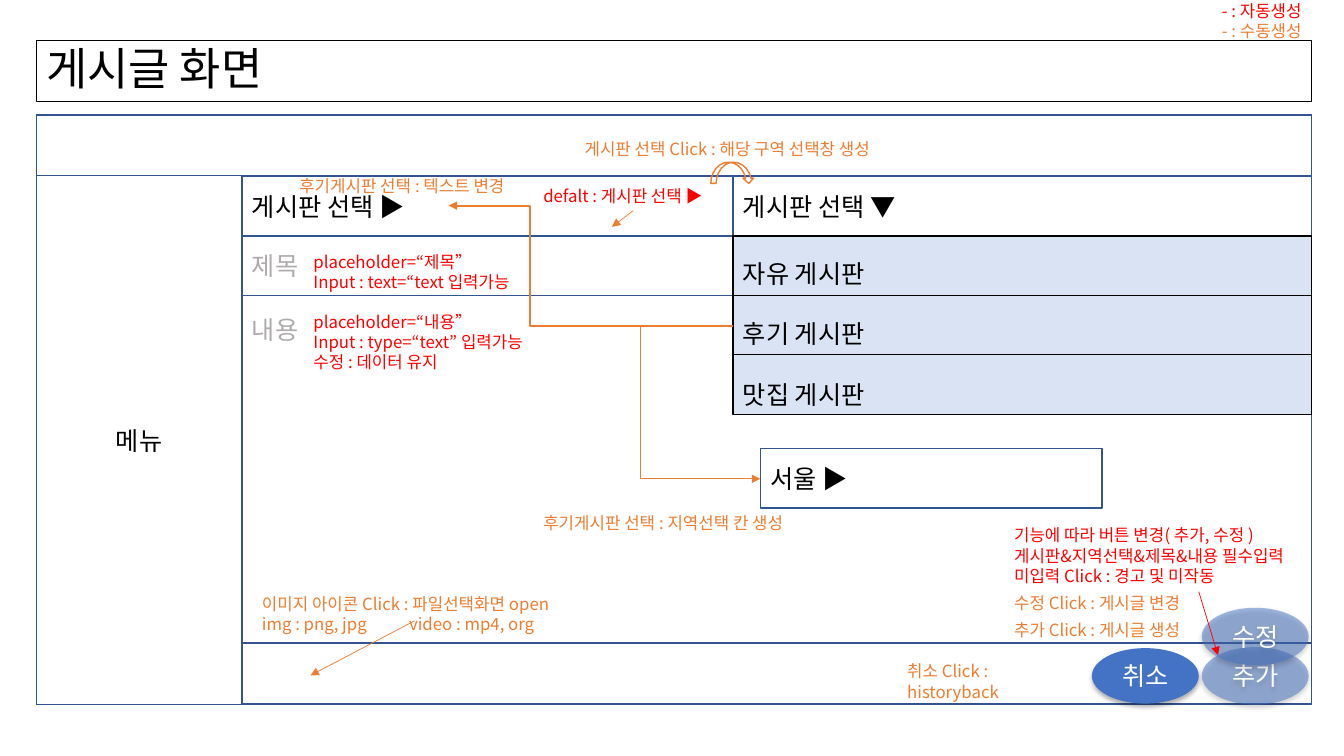
from pptx import Presentation
from pptx import util as u
from pptx.dml.color import RGBColor
from pptx.enum import shapes, text
from pptx.oxml import parse_xml
from pptx.oxml.ns import nsdecls, qn
from lxml import etree

PX = 9144  # 100 px to the inch
FONT = "Noto Sans CJK KR"
BLACK = RGBColor(0x00, 0x00, 0x00)
WHITE = RGBColor(0xFF, 0xFF, 0xFF)
GRAY = RGBColor(0xAF, 0xAB, 0xAB)
RED = RGBColor(0xFF, 0x00, 0x00)
ORANGE = RGBColor(0xED, 0x7D, 0x31)
NAVY = RGBColor(0x32, 0x54, 0x91)
BLUE = RGBColor(0x44, 0x72, 0xC4)
PALE_BLUE = RGBColor(0xDA, 0xE3, 0xF3)
LEFT, RIGHT, MENU_RIGHT, LIST_LEFT = 36, 1301, 240, 727
ROW_TOP, ROW = 175, 59
MIDDLE, TOP, BOTTOM = (text.MSO_ANCHOR.MIDDLE, text.MSO_ANCHOR.TOP,
                       text.MSO_ANCHOR.BOTTOM)


class Wireframe:
    def __init__(self, slide):
        self.slide = slide

    def add_lines(self, frame, lines, size, color, align=None, spacing=None):
        """Fill a text frame; a line is a string or a (string, color) pair."""
        for index, line in enumerate(lines):
            words, tint = line if isinstance(line, tuple) else (line, color)
            paragraph = frame.paragraphs[0] if index == 0 else frame.add_paragraph()
            paragraph.alignment = align or text.PP_ALIGN.LEFT
            if spacing:
                paragraph.line_spacing = spacing
            run = paragraph.add_run()
            run.text = words
            run.font.size = u.Pt(size)
            run.font.color.rgb = tint
            run.font.name = FONT
            etree.SubElement(run.font._element, qn("a:ea"), typeface=FONT)

    def shape(self, kind, left, top, width, height, fill=None, line=None, weight=1):
        shape = self.slide.shapes.add_shape(
            kind, left * PX, top * PX, width * PX, height * PX)
        shape.shadow.inherit = False
        if fill is None:
            shape.fill.background()
        else:
            shape.fill.solid()
            shape.fill.fore_color.rgb = fill
        if line is None:
            shape.line.fill.background()
        else:
            shape.line.color.rgb = line
            shape.line.width = u.Pt(weight)
        return shape

    def box(self, left, top, width, height, lines=(), size=18, color=BLACK,
            fill=None, line=NAVY, weight=1, anchor=MIDDLE, align=None,
            spacing=None):
        shape = self.shape(shapes.MSO_SHAPE.RECTANGLE, left, top, width, height,
                           fill, line, weight)
        shape.text_frame.vertical_anchor = anchor
        self.add_lines(shape.text_frame, lines, size, color, align, spacing)
        return shape

    def button(self, label, left, top, height=57, alpha=None):
        shape = self.shape(shapes.MSO_SHAPE.OVAL, left, top, 106, height, BLUE)
        properties = shape._element.spPr
        if alpha:
            tint = properties.find(qn("a:solidFill")).find(qn("a:srgbClr"))
            etree.SubElement(tint, qn("a:alpha"), val=str(alpha * 1000))
        properties.find(qn("a:effectLst")).append(parse_xml(
            f'<a:outerShdw {nsdecls("a")} blurRad="44450" dist="27940" '
            'dir="5400000" algn="ctr" rotWithShape="0"><a:srgbClr val="000000">'
            '<a:alpha val="32000"/></a:srgbClr></a:outerShdw>'))
        frame = shape.text_frame
        frame.vertical_anchor = MIDDLE
        self.add_lines(frame, [label], 18, WHITE, text.PP_ALIGN.CENTER)

    def note(self, left, top, width, height, lines, color=ORANGE):
        frame = self.slide.shapes.add_textbox(
            left * PX, top * PX, width * PX, height * PX).text_frame
        frame.word_wrap = True
        self.add_lines(frame, lines, 12, color)
        return frame

    def connector(self, start, end, color=ORANGE, weight=0.5, arrow=True, bend=None):
        """Draw a line; bend is the elbow's place in percent of the width."""
        kind = (shapes.MSO_CONNECTOR.STRAIGHT if bend is None
                else shapes.MSO_CONNECTOR.ELBOW)
        connector = self.slide.shapes.add_connector(
            kind, *(value * PX for value in start + end))
        connector.line.color.rgb = color
        connector.line.width = u.Pt(weight)
        properties = connector._element.spPr
        if arrow:
            etree.SubElement(properties.find(qn("a:ln")), qn("a:tailEnd"),
                             type="triangle")
        if bend is not None:
            guides = properties.find(qn("a:prstGeom")).find(qn("a:avLst"))
            etree.SubElement(guides, qn("a:gd"), name="adj1",
                             fmla=f"val {round(bend * 1000)}")
        etree.SubElement(properties, qn("a:effectLst"))


def draw_frame(page):
    width, main_width = RIGHT - LEFT, RIGHT - MENU_RIGHT
    page.box(LEFT, 40, width, 61, ["게시글 화면"], size=32, line=BLACK,
             weight=0.75, spacing=0.9)
    page.box(LEFT, 114, width, 585)
    page.box(LEFT, 174, MENU_RIGHT - LEFT, 525, ["메뉴"],
             align=text.PP_ALIGN.CENTER)
    page.box(LEFT, 114, width, 60)
    content = page.box(MENU_RIGHT, 293, main_width, 345, ["내용"], color=GRAY,
                       anchor=TOP)
    content.text_frame.margin_top = 19 * PX
    page.box(MENU_RIGHT, 638, main_width, 60)
    for index, (label, color) in enumerate([("게시판 선택 ▶", BLACK), ("제목", GRAY)]):
        page.box(MENU_RIGHT, ROW_TOP + index * ROW, main_width, ROW, [label],
                 color=color)


def draw_board_list(page):
    width, top = RIGHT - LIST_LEFT, ROW_TOP + ROW
    boards = ["자유 게시판", "후기 게시판", "맛집 게시판"]
    page.box(LIST_LEFT, ROW_TOP, width, ROW, ["게시판 선택 ▼"])
    page.box(LIST_LEFT, top, width, ROW * len(boards), boards, fill=PALE_BLUE,
             line=BLACK, anchor=BOTTOM, spacing=2.0)
    for index in range(1, len(boards)):
        y = top + index * ROW
        page.connector((LIST_LEFT, y), (RIGHT, y), BLACK, arrow=False)
    page.box(754, 445, 339, ROW, ["서울 ▶"])


def draw_buttons(page):
    page.button("추가", 1192, 642, alpha=50)
    page.button("취소", 1083, 643, height=55)
    page.button("수정", 1192, 603, alpha=50)


def draw_notes(page):
    page.note(529, 179, 198, 30, ["defalt : 게시판 선택 ▶"], RED)
    page.note(570, 133, 343, 30, ["게시판 선택 Click : 해당 구역 선택창 생성"])
    page.note(529, 504, 289, 30, ["후기게시판 선택 : 지역선택 칸 생성"])
    files = page.note(250, 584, 330, 50, ["이미지 아이콘 Click : 파일선택화면 open",
                                          "img : png, jpg\tvideo : mp4, org"])
    files.paragraphs[1]._p.get_or_add_pPr().append(parse_xml(
        f'<a:tabLst {nsdecls("a")}><a:tab pos="{146 * PX}" algn="l"/></a:tabLst>'))
    page.note(301, 304, 235, 71, ["placeholder=“내용”", "Input : type=“text” 입력가능",
                                  "수정 : 데이터 유지"], RED)
    page.note(301, 245, 235, 50, ["placeholder=“제목”", "Input : text=“text 입력가능"], RED)
    page.note(996, 516, 320, 71, ["기능에 따라 버튼 변경( 추가, 수정 )",
                                  "게시판&지역선택&제목&내용 필수입력",
                                  "미입력 Click : 경고 및 미작동"], RED)
    page.note(890, 651, 190, 50, ["취소 Click : historyback"])
    page.note(996, 583, 201, 30, ["수정 Click : 게시글 변경"])
    page.note(996, 610, 201, 30, ["추가 Click : 게시글 생성"])
    page.note(1202, -4, 110, 50, [("- : 자동생성", RED), "- : 수동생성"])
    page.note(287, 169, 250, 30, ["후기게시판 선택 : 텍스트 변경"])


def draw_arrows(page):
    page.connector((LIST_LEFT, 323), (445, 204), weight=1.5, bend=71.5)
    page.connector((635, 323), (754, 475), bend=0)
    page.connector((628, 209), (607, 225))
    page.connector((411, 616), (308, 670))
    page.connector((1189, 587), (1208, 650), RED)
    page.shape(shapes.MSO_SHAPE.CURVED_DOWN_ARROW, 705, 161, 43, 21, line=ORANGE)


def main():
    presentation = Presentation()
    presentation.slide_width = 1333 * PX
    presentation.slide_height = 750 * PX
    page = Wireframe(presentation.slides.add_slide(presentation.slide_layouts[6]))
    draw_frame(page)
    draw_board_list(page)
    draw_buttons(page)
    draw_notes(page)
    draw_arrows(page)
    presentation.save("out.pptx")


if __name__ == "__main__":
    main()
